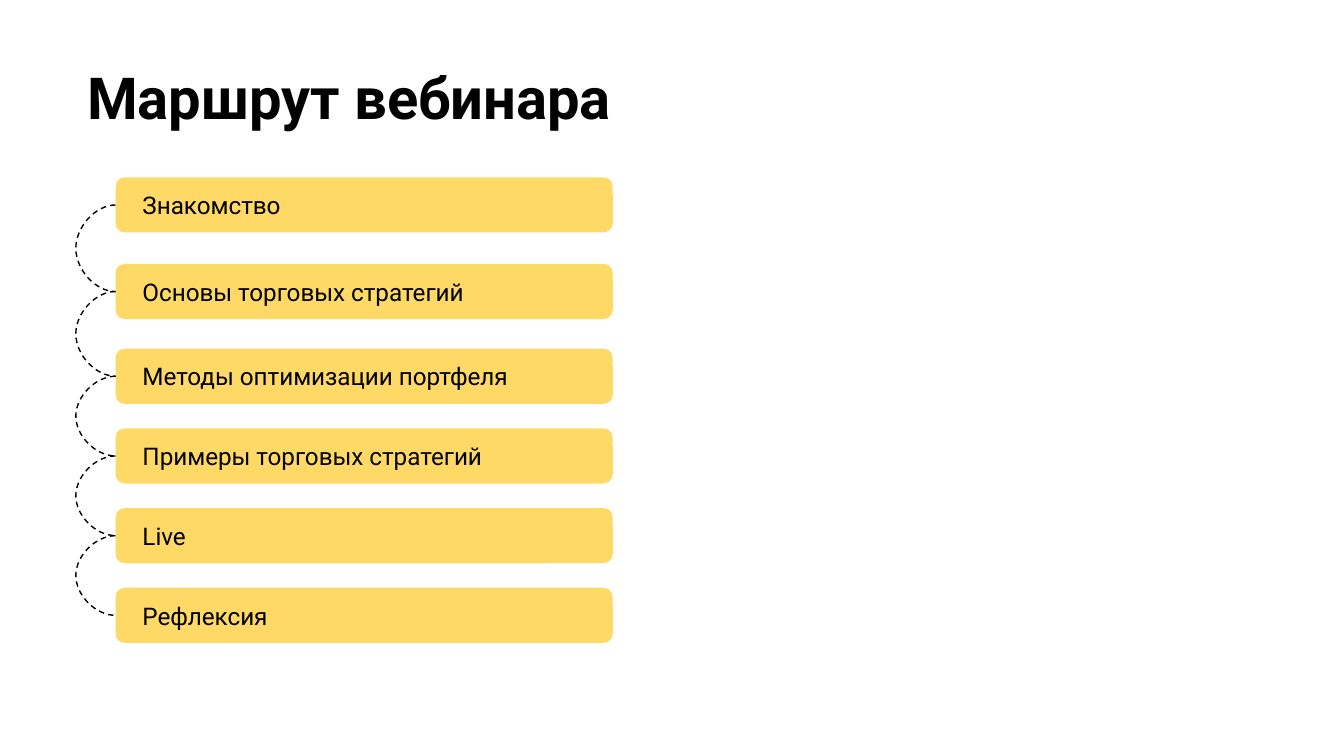
from itertools import pairwise

from lxml.etree import SubElement
from pptx import Presentation
from pptx.dml.color import RGBColor as RGB
from pptx.enum.dml import MSO_LINE_DASH_STYLE as DASH
from pptx.enum.shapes import MSO_CONNECTOR as CONN, MSO_SHAPE as SHAPE
from pptx.enum.text import MSO_ANCHOR as ANCHOR, PP_ALIGN as ALIGN
from pptx.oxml.ns import qn
from pptx.util import Pt

COLORS = {"black": "000000", "soft_black": "050505", "bar": "FFD966"}
LEFT_SITE = 1
BAR_LEFT, BAR_WIDTH, BAR_HEIGHT = 61.9, 266.4, 29.6
ARC_WIDTH, ARC_BULGE = 0.05, 18.75

STEPS = [
    ("Знакомство", 95, "black"),
    ("Основы торговых стратегий", 141.4, "black"),
    ("Методы оптимизации портфеля", 186.8, "black"),
    ("Примеры торговых стратегий", 229.5, "soft_black"),
    ("Live", 272.2, "black"),
    ("Рефлексия", 314.9, "black"),
]


def write(sp, text, size, color="black", bold=False, anchor=ANCHOR.TOP, side=7.2):
    tf = sp.text_frame
    tf.word_wrap = True
    tf.vertical_anchor = anchor
    tf.margin_left = tf.margin_right = Pt(side)
    tf.margin_top = tf.margin_bottom = Pt(7.2)
    p = tf.paragraphs[0]
    p.alignment = ALIGN.LEFT
    r = p.add_run()
    r.text = text
    r.font.name = "Roboto"
    r.font.size = Pt(size)
    r.font.bold = bold
    r.font.color.rgb = RGB.from_string(COLORS[color])


def add_title(s, text):
    sp = s.shapes.add_textbox(Pt(39.6), Pt(25.9), Pt(671), Pt(86.4))
    write(sp, text, size=31, bold=True)


def add_bar(s, text, top, color):
    sp = s.shapes.add_shape(SHAPE.ROUNDED_RECTANGLE, Pt(BAR_LEFT), Pt(top),
                            Pt(BAR_WIDTH), Pt(BAR_HEIGHT))
    sp.adjustments[0] = 0.167
    sp.shadow.inherit = False
    sp.fill.solid()
    sp.fill.fore_color.rgb = RGB.from_string(COLORS["bar"])
    sp.line.fill.background()
    write(sp, text, size=13, color=color, anchor=ANCHOR.MIDDLE, side=13)
    return sp


def add_arc(s, upper, lower):
    arc = s.shapes.add_connector(CONN.CURVE, 0, 0, 0, 0)
    arc.begin_connect(upper, LEFT_SITE)
    arc.end_connect(lower, LEFT_SITE)
    arc.end_x = arc.begin_x + Pt(ARC_WIDTH)
    arc.line.color.rgb = RGB.from_string(COLORS["black"])
    arc.line.width = Pt(0.75)
    arc.line.dash_style = DASH.DASH
    props = arc._element.spPr
    SubElement(props, qn("a:effectLst"))
    guides = props.find(qn("a:prstGeom")).get_or_add_avLst()
    bend = round(-ARC_BULGE / ARC_WIDTH * 100000)
    SubElement(guides, qn("a:gd"), name="adj1", fmla=f"val {bend}")


def main():
    prs = Presentation()
    prs.slide_width, prs.slide_height = Pt(720), Pt(405)
    s = prs.slides.add_slide(prs.slide_layouts[6])
    add_title(s, "Маршрут вебинара")
    bars = [add_bar(s, *step) for step in STEPS]
    for upper, lower in pairwise(bars):
        add_arc(s, upper, lower)
    prs.save("out.pptx")


if __name__ == "__main__":
    main()
